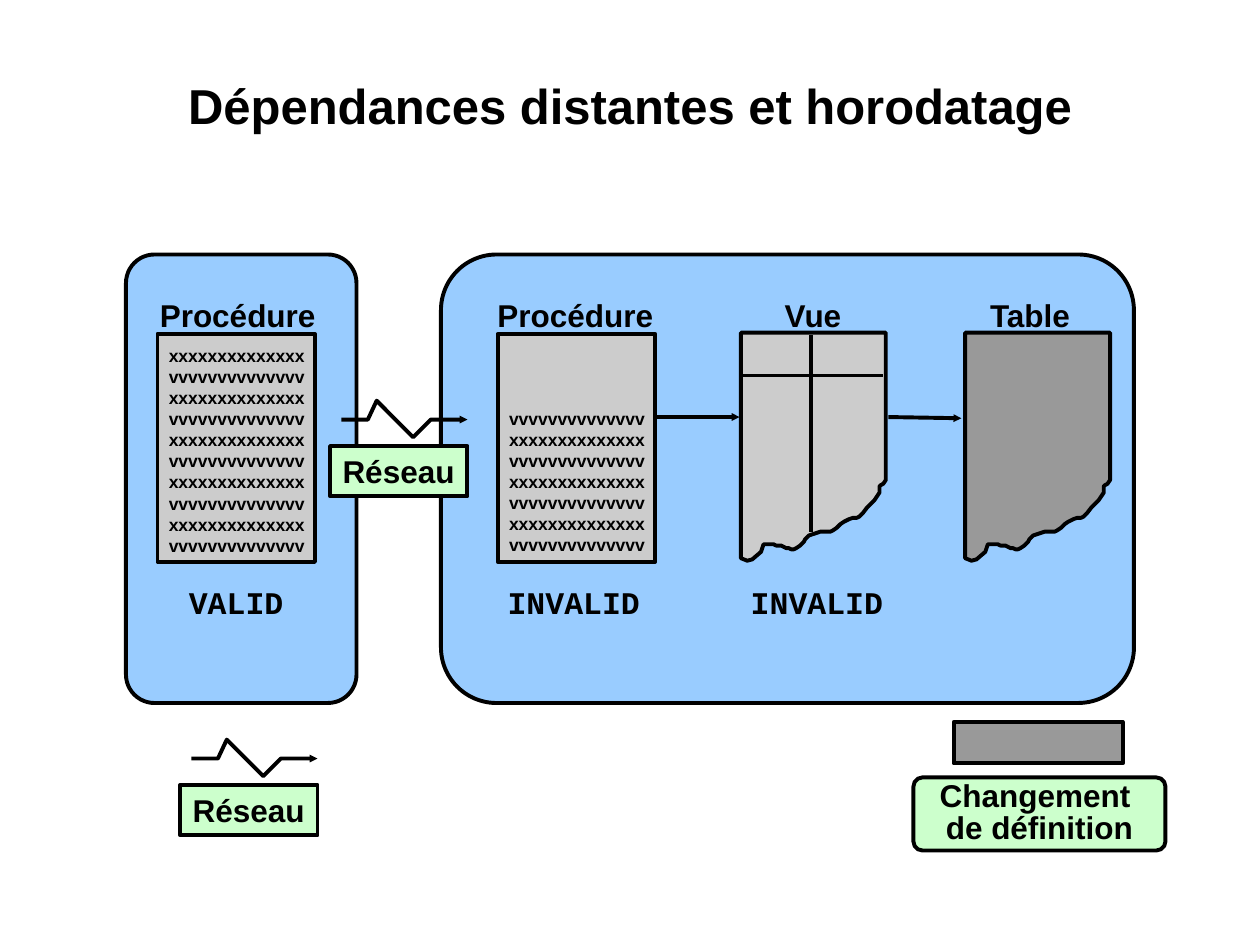
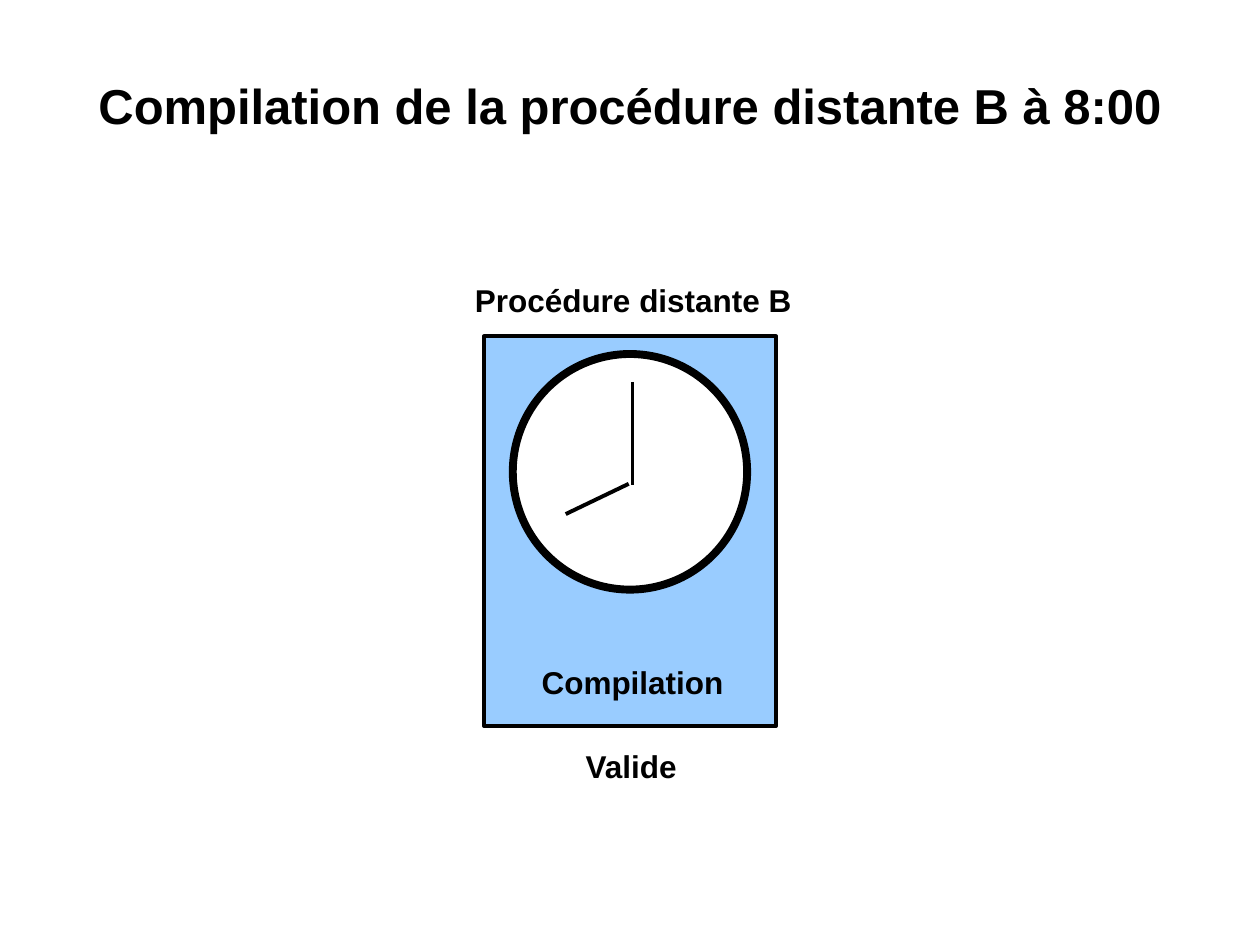
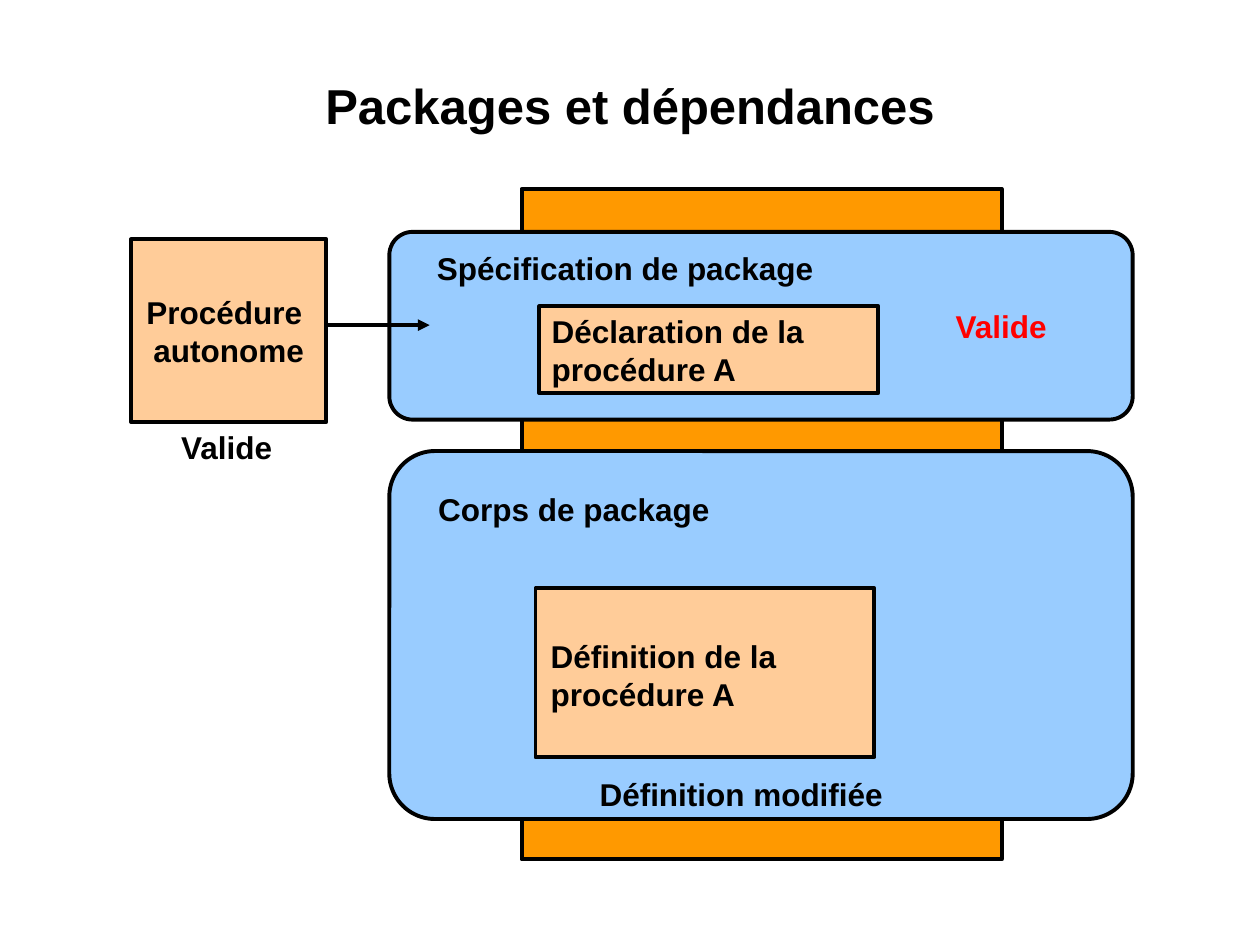
import pptx
import pptx.util
import pptx.dml.color
import pptx.enum.shapes
import pptx.enum.text
import pptx.oxml.ns
from lxml import etree

Inches, Pt = pptx.util.Inches, pptx.util.Pt
RGBColor = pptx.dml.color.RGBColor
MSO_SHAPE = pptx.enum.shapes.MSO_SHAPE
MSO_ANCHOR = pptx.enum.text.MSO_ANCHOR
LEFT, CENTER = pptx.enum.text.PP_ALIGN.LEFT, pptx.enum.text.PP_ALIGN.CENTER

BLACK = RGBColor(0x00, 0x00, 0x00)
WHITE = RGBColor(0xFF, 0xFF, 0xFF)
RED = RGBColor(0xFF, 0x00, 0x00)
BLUE = RGBColor(0x99, 0xCC, 0xFF)
GREEN = RGBColor(0xCC, 0xFF, 0xCC)
ORANGE = RGBColor(0xFF, 0x99, 0x00)
PEACH = RGBColor(0xFF, 0xCC, 0x99)
LIGHT_GREY = RGBColor(0xCC, 0xCC, 0xCC)
DARK_GREY = RGBColor(0x99, 0x99, 0x99)
SANS, MONO = "Arial", "Courier New"
LINE_WIDTH = 2.25
CORNER = 0.124

# Slide 1: dependencies across the network
PANELS = [(1, 2.02, 1.83, 3.56), (3.5, 2.02, 5.5, 3.56)]
X_LINE, V_LINE = "x" * 14, "v" * 14
PROCEDURES = [  # left of the box, top of the code, code lines
    (1.25, 2.7, [X_LINE, V_LINE] * 5),
    (3.95, 3.2, [V_LINE] + [X_LINE, V_LINE] * 3),
]
PROCEDURE_TOP, PROCEDURE_SIZE = 2.65, (1.25, 1.81)
OBJECT_NAMES = [("Procédure", 1.17, 1.44), ("Procédure", 3.85, 1.44),
                ("Vue", 6.13, 0.66), ("Table", 7.76, 0.86)]
STATES = [("VALID", 1.4, 0.95), ("INVALID", 3.93, 1.25), ("INVALID", 5.86, 1.25)]
TORN_TOP = 2.64
TORN_SHEETS = [(5.88, LIGHT_GREY), (7.66, DARK_GREY)]
TORN_OUTLINE = [
    (1.15, 1.17), (1.15, 0), (0, 0), (0, 1.79), (0.05, 1.81), (0.09, 1.8),
    (0.16, 1.74), (0.18, 1.68), (0.26, 1.68), (0.28, 1.69), (0.32, 1.69),
    (0.34, 1.7), (0.36, 1.71), (0.38, 1.71), (0.4, 1.72), (0.42, 1.72),
    (0.44, 1.71), (0.47, 1.69), (0.48, 1.68), (0.5, 1.66), (0.51, 1.64),
    (0.54, 1.61), (0.57, 1.6), (0.6, 1.59), (0.63, 1.58), (0.71, 1.58),
    (0.73, 1.57), (0.76, 1.55), (0.79, 1.52), (0.82, 1.5), (0.86, 1.48),
    (0.89, 1.47), (0.92, 1.47), (0.94, 1.46), (0.97, 1.43), (1, 1.39),
    (1.03, 1.36), (1.06, 1.33), (1.08, 1.3), (1.1, 1.27), (1.1, 1.22),
    (1.11, 1.21), (1.13, 1.2),
]
VIEW_RULES = [(6.44, 2.66, 6.44, 4.22), (5.89, 2.98, 7.01, 2.98)]
DEPENDENCY_ARROWS = [(5.21, 3.31, 5.87, 3.31), (7.05, 3.31, 7.63, 3.32)]
NETWORK_BOXES = [(2.62, 3.54), (1.43, 6.23)]
ZIGZAG = [(0, 0.15), (0.21, 0.15), (0.28, 0), (0.57, 0.29), (0.71, 0.15), (1, 0.15)]
ZIGZAG_OFFSET = (0.09, -0.36)

# Slide 2: remote procedure with a clock at 8:00
CLOCK_HANDS = [(5.02, 3.03, 5.02, 3.85), (4.99, 3.84, 4.49, 4.08)]
CLOCK_LABELS = [("Procédure distante B", 3.67, 2.18, 2.72),
                ("Compilation", 4.2, 5.21, 1.65),
                ("Valide", 4.55, 5.88, 0.94)]

# Slide 3: package parts
PACKAGE_PARTS = [(3.09, 3.58, 5.9, 2.92), (3.09, 1.84, 5.9, 1.49)]
PACKAGE_LABELS = [("Spécification de package", 3.37, 1.93, 3.47),
                  ("Corps de package", 3.38, 3.84, 2.96),
                  ("Définition modifiée", 4.66, 6.1, 2.59)]
PACKAGE_STATES = [((7.34, 2.33, 1.21, 0.46), RED), ((1.13, 3.29, 1.34, 0.46), BLACK)]


def set_text(tf, lines, size=18, font=SANS, color=BLACK, align=LEFT,
             spacing=None, wrap=False, margins=(0.1, 0.05)):
    tf.word_wrap = wrap
    tf.margin_left = tf.margin_right = Inches(margins[0])
    tf.margin_top = tf.margin_bottom = Inches(margins[1])
    for i, line in enumerate(lines):
        p = tf.add_paragraph() if i else tf.paragraphs[0]
        p.text = line
        p.alignment = align
        if spacing:
            p.line_spacing = spacing
        for r in p.runs:
            r.font.name, r.font.size, r.font.bold = font, Pt(size), True
            r.font.color.rgb = color


def add_label(s, text, x, y, w, h=0.4, **style):
    tb = s.shapes.add_textbox(*map(Inches, (x, y, w, h)))
    set_text(tb.text_frame, [text] if isinstance(text, str) else text, **style)
    tb.text_frame.auto_size = pptx.enum.text.MSO_AUTO_SIZE.SHAPE_TO_FIT_TEXT


def paint(sp, fill, width=LINE_WIDTH):
    sp.shadow.inherit = False
    if fill is None:
        sp.fill.background()
    else:
        sp.fill.solid()
        sp.fill.fore_color.rgb = fill
    sp.line.color.rgb = BLACK
    sp.line.width = Pt(width)


def add_box(s, at, fill, kind=MSO_SHAPE.RECTANGLE, text=None,
            anchor=MSO_ANCHOR.MIDDLE, width=LINE_WIDTH, **style):
    sp = s.shapes.add_shape(kind, *map(Inches, at))
    if kind == MSO_SHAPE.ROUNDED_RECTANGLE:
        sp.adjustments[0] = CORNER
    paint(sp, fill, width)
    if text:
        sp.text_frame.vertical_anchor = anchor
        set_text(sp.text_frame, [text], **style)


def add_arrowhead(sp, size):
    etree.SubElement(sp.line._get_or_add_ln(), pptx.oxml.ns.qn("a:tailEnd"),
                     type="triangle", w=size, len=size)


def add_line(s, ends, head=None):
    c = s.shapes.add_connector(pptx.enum.shapes.MSO_CONNECTOR.STRAIGHT, *map(Inches, ends))
    c.line.color.rgb = BLACK
    c.line.width = Pt(LINE_WIDTH)
    if head:
        add_arrowhead(c, head)
    etree.SubElement(c._element.spPr, pptx.oxml.ns.qn("a:effectLst"))


def add_outline(s, x, y, points, fill=None, close=True):
    pts = [(Inches(x + dx), Inches(y + dy)) for dx, dy in points]
    fb = s.shapes.build_freeform(*pts[0])
    fb.add_line_segments(pts[1:], close=close)
    sp = fb.convert_to_shape()
    paint(sp, fill)
    return sp


def new_slide(prs, title, x=1, w=8):
    s = prs.slides.add_slide(prs.slide_layouts[5])
    t = s.shapes.title
    t.left, t.top, t.width, t.height = map(Inches, (x, 0.58, w, 0.96))
    t.text_frame.vertical_anchor = MSO_ANCHOR.TOP
    set_text(t.text_frame, [title], size=28, align=CENTER, wrap=True, margins=(0.01, 0.02))
    return s


def add_dependency_slide(prs):
    s = new_slide(prs, "Dépendances distantes et horodatage")
    for at in PANELS:
        add_box(s, at, BLUE, MSO_SHAPE.ROUNDED_RECTANGLE)
    for x, code_top, code in PROCEDURES:
        add_box(s, (x, PROCEDURE_TOP, *PROCEDURE_SIZE), LIGHT_GREY)
        add_label(s, code, x + 0.01, code_top, 1.28, 0.08 + len(code) / 6,
                  size=10, margins=(0.08, 0.04))
    for ends in DEPENDENCY_ARROWS:
        add_line(s, ends, head="sm")
    for x, fill in TORN_SHEETS:
        add_outline(s, x, TORN_TOP, TORN_OUTLINE, fill)
    for ends in VIEW_RULES:
        add_line(s, ends)
    for name, x, w in OBJECT_NAMES:
        add_label(s, name, x, 2.3, w)
    for state, x, w in STATES:
        add_label(s, state, x, 4.58, w, font=MONO)
    for x, y in NETWORK_BOXES:
        add_box(s, (x, y, 1.09, 0.4), GREEN, text="Réseau", anchor=MSO_ANCHOR.TOP)
        sp = add_outline(s, x + ZIGZAG_OFFSET[0], y + ZIGZAG_OFFSET[1], ZIGZAG, close=False)
        add_arrowhead(sp, "sm")
    add_box(s, (7.57, 5.73, 1.34, 0.33), DARK_GREY)
    add_box(s, (7.25, 6.17, 2, 0.58), GREEN, MSO_SHAPE.ROUNDED_RECTANGLE,
            "Changement \nde définition", align=CENTER, spacing=0.85)


def add_clock_slide(prs):
    s = new_slide(prs, "Compilation de la procédure distante B à 8:00", 0.75, 8.5)
    add_box(s, (3.84, 2.67, 2.32, 3.09), BLUE)
    add_box(s, (4.07, 2.81, 1.86, 1.87), WHITE, MSO_SHAPE.OVAL, width=4.5)
    for ends in CLOCK_HANDS:
        add_line(s, ends)
    for label in CLOCK_LABELS:
        add_label(s, *label)


def add_package_slide(prs):
    s = new_slide(prs, "Packages et dépendances")
    add_box(s, (4.14, 1.5, 3.81, 5.32), ORANGE)
    for at in PACKAGE_PARTS:
        add_box(s, at, BLUE, MSO_SHAPE.ROUNDED_RECTANGLE)
    add_box(s, (4.28, 2.43, 2.69, 0.69), PEACH, text="Déclaration de la \nprocédure A")
    add_box(s, (4.25, 4.67, 2.69, 1.34), PEACH)
    add_label(s, "Définition de la procédure A", 4.28, 5.01, 2.39, 0.69,
              wrap=True, margins=(0.09, 0.05))
    for label in PACKAGE_LABELS:
        add_label(s, *label, wrap=True)
    add_line(s, (2.29, 2.58, 3.41, 2.58), head="med")
    add_box(s, (1.04, 1.9, 1.55, 1.45), PEACH, text="Procédure \nautonome", align=CENTER)
    for at, color in PACKAGE_STATES:
        add_label(s, "Valide", *at, color=color, align=CENTER, spacing=1.2, wrap=True)


def main():
    prs = pptx.Presentation()
    prs.slide_width, prs.slide_height = Inches(10), Inches(7.5)
    add_dependency_slide(prs)
    add_clock_slide(prs)
    add_package_slide(prs)
    prs.save("out.pptx")


if __name__ == "__main__":
    main()
